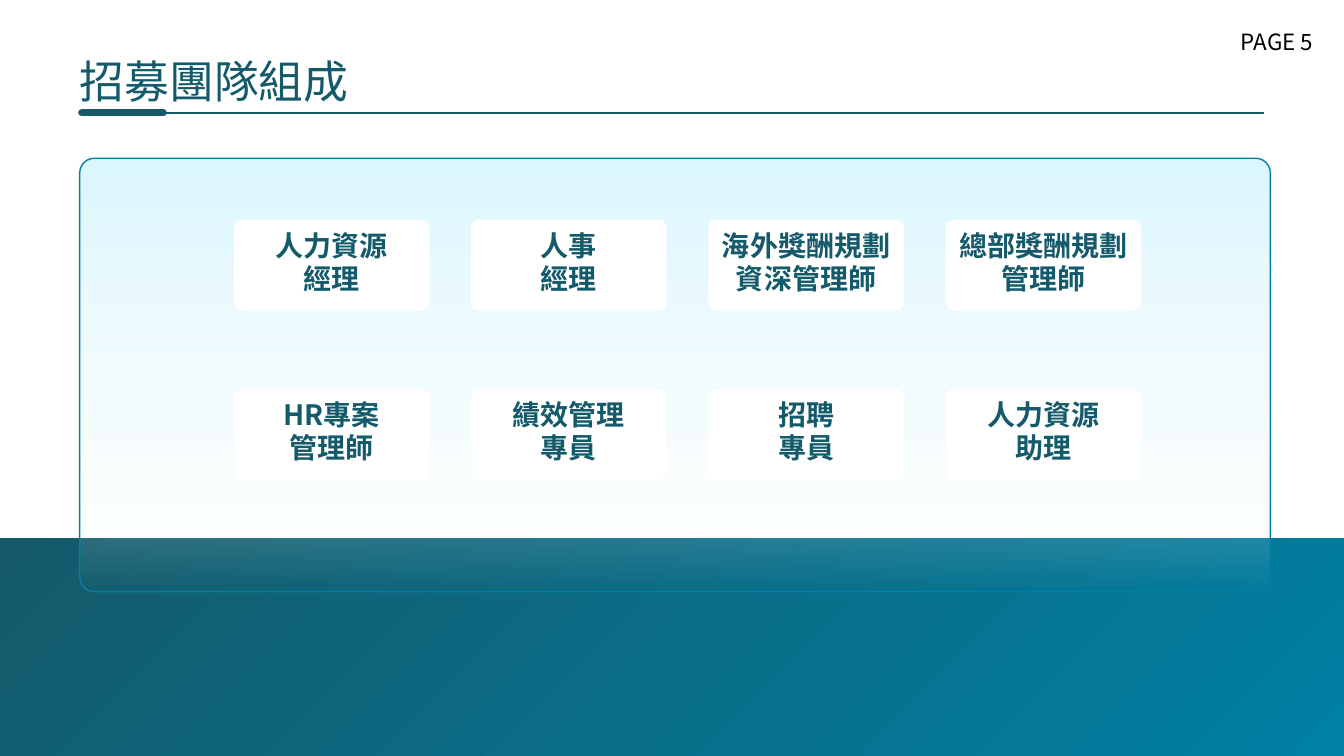
from dataclasses import dataclass

from lxml.etree import SubElement
from pptx import Presentation
from pptx.dml.color import RGBColor
from pptx.enum.shapes import MSO_CONNECTOR as Connector, MSO_SHAPE as Shape
from pptx.enum.text import MSO_ANCHOR as Anchor, PP_ALIGN as Align
from pptx.oxml.ns import qn
from pptx.util import Inches, Pt


@dataclass(frozen=True)
class Theme:
    """Colours, font and type sizes of the deck."""
    dark: str = "145A6A"
    bright: str = "0080A4"
    pale: str = "DCF7FF"
    mist: str = "EEFBFF"
    white: str = "FFFFFF"
    black: str = "000000"
    font: str = "Noto Sans CJK SC"
    title: int = 32
    role: int = 20
    number: int = 16
    leading: float = 1.2


THEME = Theme()
ROLES = [
    ["人力資源\n經理", "人事\n經理", "海外獎酬規劃資深管理師", "總部獎酬規劃管理師"],
    ["HR專案\n管理師", "績效管理\n專員", "招聘\n專員", "人力資源\n助理"],
]


def rgb(code):
    """Turn a hex code into a colour."""
    return RGBColor.from_string(code)


def write(shape, text, *, size, color, bold=False, align=Align.LEFT, left=0.1, top=0.05):
    """Fill a shape with text, one paragraph for each line."""
    frame = shape.text_frame
    frame.word_wrap = True
    frame.vertical_anchor = Anchor.TOP
    frame.margin_left, frame.margin_right = Inches(left), Inches(0.1)
    frame.margin_top = frame.margin_bottom = Inches(top)
    for index, line in enumerate(text.split("\n")):
        para = frame.add_paragraph() if index else frame.paragraphs[0]
        para.alignment = align
        para.line_spacing = Pt(size * THEME.leading)
        span = para.add_run()
        span.text = line
        span.font.size, span.font.bold = Pt(size), bold
        span.font.name, span.font.color.rgb = THEME.font, rgb(color)
        SubElement(span.font._element, qn("a:ea")).set("typeface", THEME.font)


def add_text(page, box, text, **style):
    """Place a text box."""
    write(page.shapes.add_textbox(*map(Inches, box)), text, **style)


def add_block(page, kind, box, corner=None):
    """Place a preset shape without outline or shadow."""
    block = page.shapes.add_shape(kind, *map(Inches, box))
    block.shadow.inherit = False
    block.line.fill.background()
    if corner is not None:
        block.adjustments[0] = corner
    return block


def shade(shape, first, last, angle):
    """Give a shape a linear gradient at a clockwise angle."""
    shape.fill.gradient()
    shape.fill.gradient_angle = 360 - angle
    for stop, color, position in zip(shape.fill.gradient_stops, (first, last), (0, 1)):
        stop.color.rgb = rgb(color)
        stop.position = position


def add_rule(page, left, top, width, weight):
    """Draw a horizontal line with round ends."""
    rule = page.shapes.add_connector(
        Connector.STRAIGHT, Inches(left), Inches(top), Inches(left + width), Inches(top))
    rule.line.color.rgb = rgb(THEME.dark)
    rule.line.width = Pt(weight)
    rule.line._get_or_add_ln().set("cap", "rnd")
    SubElement(rule.element.spPr, qn("a:effectLst"))


def add_band(page, box):
    """Place the coloured band at the foot of the page."""
    shade(add_block(page, Shape.RECTANGLE, box), THEME.dark, THEME.bright, 45)


def add_header(page, box):
    """Place the title over its thin rule and thick accent."""
    left, top, width, height = box
    add_text(page, (left, top, 4.7, height), "招募團隊組成",
             size=THEME.title, color=THEME.dark, left=0)
    for length, weight in ((width, 1.25), (0.81, 5)):
        add_rule(page, left + 0.02, top + height, length, weight)


def add_team(page, box):
    """Place the fading panel and its grid of role cards."""
    left, top, _, _ = box
    panel = add_block(page, Shape.ROUNDED_RECTANGLE, box, 0.034)
    shade(panel, THEME.pale, THEME.mist, 90)
    end_color = panel.element.spPr.findall(".//" + qn("a:srgbClr"))[-1]
    SubElement(end_color, qn("a:alpha")).set("val", "0")
    panel.line.color.rgb = rgb(THEME.bright)
    panel.line.width = Pt(1)
    for row, roles in enumerate(ROLES):
        for column, role in enumerate(roles):
            place = (left + 1.53 + column * 2.353, top + 0.61 + row * 1.68, 1.94, 0.9)
            card = add_block(page, Shape.ROUNDED_RECTANGLE, place, 0.086)
            card.fill.solid()
            card.fill.fore_color.rgb = rgb(THEME.white)
            write(card, role, size=THEME.role, color=THEME.dark, bold=True,
                  align=Align.CENTER, top=0.06)


def main():
    """Build the deck."""
    deck = Presentation()
    deck.slide_width, deck.slide_height = Inches(13.33), Inches(7.5)
    page = deck.slides.add_slide(deck.slide_layouts[6])
    add_band(page, (0, 5.34, 13.33, 2.16))
    add_header(page, (0.79, 0.48, 11.72, 0.64))
    add_team(page, (0.79, 1.57, 11.81, 4.3))
    add_text(page, (12.21, 0.23, 0.98, 0.37), "PAGE 5",
             size=THEME.number, color=THEME.black)
    deck.save("out.pptx")


if __name__ == "__main__":
    main()
